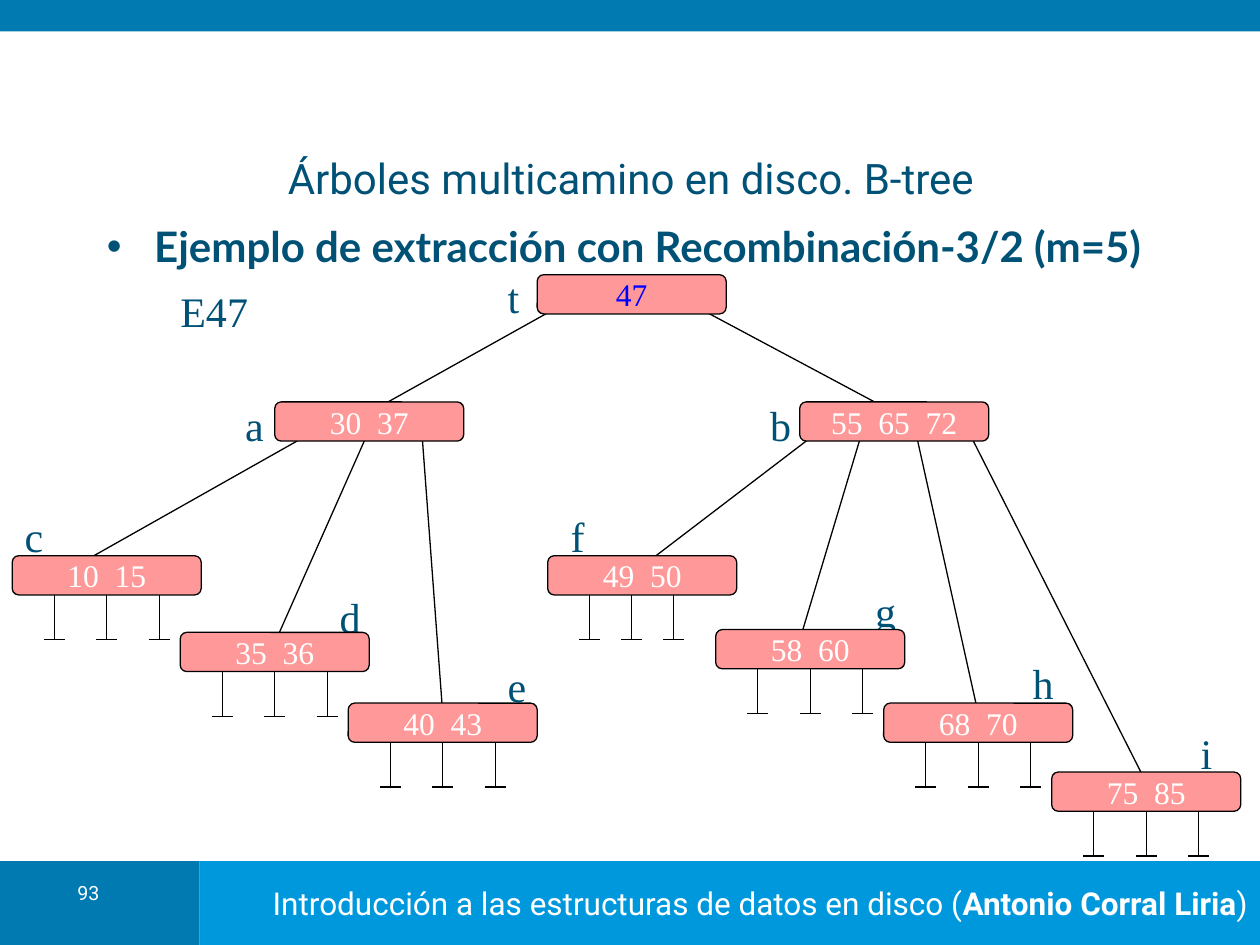
import dataclasses

import pptx
import pptx.dml.color
import pptx.enum.shapes
import pptx.enum.text
import pptx.oxml.ns
import pptx.util
from lxml import etree

Pt = pptx.util.Pt
ALIGN = pptx.enum.text.PP_ALIGN
ANCHOR = pptx.enum.text.MSO_ANCHOR
SHAPES = pptx.enum.shapes.MSO_SHAPE


@dataclasses.dataclass(frozen=True)
class Theme:
    dark_blue: str = "007AB1"
    light_blue: str = "0098DC"
    ink: str = "005176"
    node_fill: str = "FF9999"
    changed_key: str = "0000FF"
    white: str = "FFFFFF"
    black: str = "000000"
    sans: str = "Roboto"
    bold_sans: str = "Lato"
    serif: str = "Times New Roman"
    large: float = 24
    medium: float = 18
    small: float = 11.2
    line: float = 0.75


@dataclasses.dataclass(frozen=True)
class Node:
    left: float
    top: float
    keys: str
    label_at: tuple
    legs: tuple = ()
    exit_depth: float = 16


NODE_WIDTH, NODE_HEIGHT = 108, 22.4
ENTRY_DEPTH = 6
LEG_START, LEG_END, FOOT = 18, 48, 6
WIDE_LEGS, NARROW_LEGS = (24, 54, 84), (24, 48, 72)

NODES = {
    "t": Node(307, 157, "47", (283, 149), exit_depth=5),
    "a": Node(157, 229.7, "30 37", (133, 222)),
    "b": Node(457, 229.7, "55 65 72", (433, 222)),
    "c": Node(7, 317.6, "10 15", (7, 286), WIDE_LEGS),
    "d": Node(103, 361.4, "35 36", (187, 332), WIDE_LEGS),
    "e": Node(199, 401.8, "40 43", (283, 371.5), WIDE_LEGS),
    "f": Node(313, 317.6, "49 50", (319, 286), NARROW_LEGS),
    "g": Node(409, 359.8, "58 60", (493, 328.3), WIDE_LEGS),
    "h": Node(505, 401.8, "68 70", (583, 370), WIDE_LEGS),
    "i": Node(601, 441.2, "75 85", (679, 409.7), WIDE_LEGS),
}

# Parent, child, distance of each end from the left side of its node
EDGES = [
    ("t", "a", 36, 54), ("t", "b", 66, 54),
    ("a", "c", 24, 36), ("a", "d", 54, 54), ("a", "e", 84, 54),
    ("b", "f", 12, 54), ("b", "g", 36, 48), ("b", "h", 66, 54), ("b", "i", 96, 54),
]


class SlideBuilder:
    def __init__(self, slide, theme):
        self.slide = slide
        self.theme = theme

    def color(self, value):
        return pptx.dml.color.RGBColor.from_string(value)

    def style(self, font, name, size, color, bold=False):
        font.name = name
        font.size = Pt(size)
        font.bold = bold
        font.color.rgb = self.color(color)

    def box(self, kind, left, top, width, height, fill, outlined=False):
        shape = self.slide.shapes.add_shape(kind, Pt(left), Pt(top), Pt(width), Pt(height))
        shape.shadow.inherit = False
        shape.fill.solid()
        shape.fill.fore_color.rgb = self.color(fill)
        if outlined:
            shape.line.color.rgb = self.color(self.theme.black)
            shape.line.width = Pt(self.theme.line)
        else:
            shape.line.fill.background()
        shape.text_frame.word_wrap = True
        shape.text_frame.vertical_anchor = ANCHOR.MIDDLE
        return shape

    def text(self, text, left, top, width, height, font_name, size, color,
             bold=False, align=ALIGN.LEFT, anchor=ANCHOR.TOP, bullet=False):
        shape = self.slide.shapes.add_textbox(Pt(left), Pt(top), Pt(width), Pt(height))
        shape.text_frame.word_wrap = True
        shape.text_frame.vertical_anchor = anchor
        paragraph = shape.text_frame.paragraphs[0]
        paragraph.text = text
        paragraph.alignment = align
        if bullet:
            self.bullet(paragraph, color)
        self.style(paragraph.font, font_name, size, color, bold)
        return shape

    def bullet(self, paragraph, color):
        qn = pptx.oxml.ns.qn
        properties = paragraph._p.get_or_add_pPr()
        properties.set("marL", str(Pt(27)))
        properties.set("indent", str(-Pt(27)))
        bullet_color = etree.SubElement(properties, qn("a:buClr"))
        etree.SubElement(bullet_color, qn("a:srgbClr"), val=color)
        etree.SubElement(properties, qn("a:buFont"), typeface="Arial")
        etree.SubElement(properties, qn("a:buChar"), char="•")

    def label(self, text, left, top, width=24):
        theme = self.theme
        shape = self.text(text, left, top, width, 36, theme.serif, theme.large, theme.ink)
        shape.text_frame.margin_top = Pt(6)

    def line(self, x1, y1, x2, y2):
        connector = self.slide.shapes.add_connector(
            pptx.enum.shapes.MSO_CONNECTOR.STRAIGHT, Pt(x1), Pt(y1), Pt(x2), Pt(y2))
        connector.line.color.rgb = self.color(self.theme.black)
        connector.line.width = Pt(self.theme.line)
        etree.SubElement(connector._element.spPr, pptx.oxml.ns.qn("a:effectLst"))

    def edge(self, parent, child, exit_offset, entry_offset):
        self.line(parent.left + exit_offset, parent.top + parent.exit_depth,
                  child.left + entry_offset, child.top + ENTRY_DEPTH)

    def legs(self, node):
        """Draw the null pointers under a leaf."""
        bottom = node.top + LEG_END
        for offset in node.legs:
            x = node.left + offset
            self.line(x, node.top + LEG_START, x, bottom)
            self.line(x - FOOT, bottom, x + FOOT, bottom)

    def node(self, node, key_color):
        theme = self.theme
        shape = self.box(SHAPES.ROUNDED_RECTANGLE, node.left, node.top,
                         NODE_WIDTH, NODE_HEIGHT, theme.node_fill, outlined=True)
        paragraph = shape.text_frame.paragraphs[0]
        paragraph.alignment = ALIGN.CENTER
        self.style(paragraph.font, theme.serif, theme.medium, key_color)
        for index, key in enumerate(node.keys.split()):
            if index:
                gap = paragraph.add_run()
                gap.text = " "
                gap._r.get_or_add_rPr().set("spc", "450")
            paragraph.add_run().text = key

    def footer(self, parts):
        """Draw the footer band; parts are (text, bold) pairs."""
        theme = self.theme
        shape = self.box(SHAPES.RECTANGLE, 114, 492, 606, 48, theme.light_blue)
        paragraph = shape.text_frame.paragraphs[0]
        paragraph.alignment = ALIGN.RIGHT
        for text, bold in parts:
            run = paragraph.add_run()
            run.text = text
            self.style(run.font, theme.sans, theme.medium, theme.white, bold)


def main():
    theme = Theme()
    presentation = pptx.Presentation()
    presentation.slide_width, presentation.slide_height = Pt(720), Pt(540)
    slide = presentation.slides.add_slide(presentation.slide_layouts[6])
    builder = SlideBuilder(slide, theme)

    builder.footer([("Introducción a las estructuras de datos en disco (", False),
                    ("Antonio Corral Liria", True), (")", False)])
    builder.box(SHAPES.RECTANGLE, 0, 492, 114, 48, theme.dark_blue)
    builder.box(SHAPES.RECTANGLE, 0, 0, 720, 18, theme.dark_blue)
    number = builder.text("93", 25, 502.5, 51, 23, theme.sans, theme.small,
                          theme.white, align=ALIGN.CENTER)
    number.text_frame.paragraphs[0].line_spacing = 0.8

    builder.text("Árboles multicamino en disco. B-tree", 60, 86.5, 601, 30, theme.sans,
                 theme.large, theme.ink, align=ALIGN.CENTER, anchor=ANCHOR.MIDDLE)
    builder.text("Ejemplo de extracción con Recombinación-3/2 (m=5)", 54, 122.4, 651.6, 368.6,
                 theme.bold_sans, theme.large, theme.ink, bold=True, bullet=True)
    builder.label("E47", 96, 157, 66)

    for parent, child, exit_offset, entry_offset in EDGES:
        builder.edge(NODES[parent], NODES[child], exit_offset, entry_offset)
    for name, node in NODES.items():
        builder.legs(node)
        builder.label(name, *node.label_at)
        builder.node(node, theme.changed_key if name == "t" else theme.white)

    presentation.save("out.pptx")


if __name__ == "__main__":
    main()
